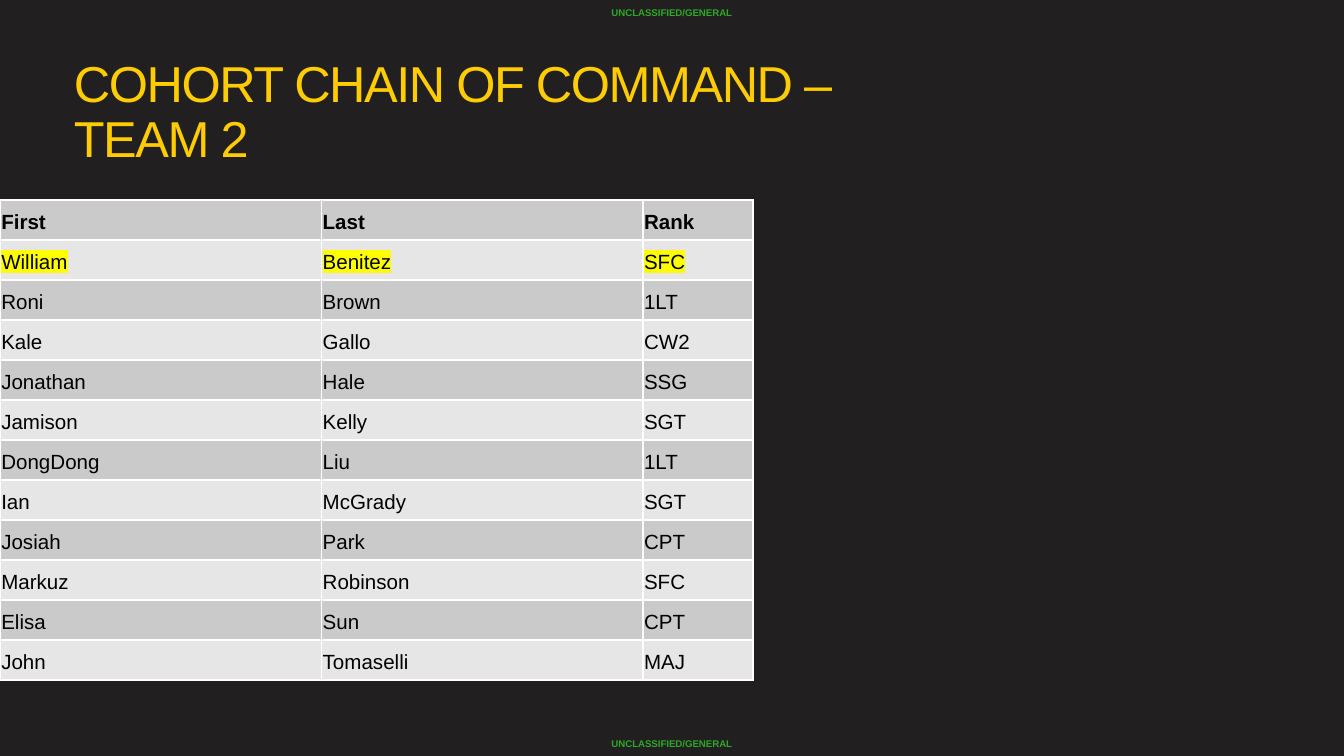
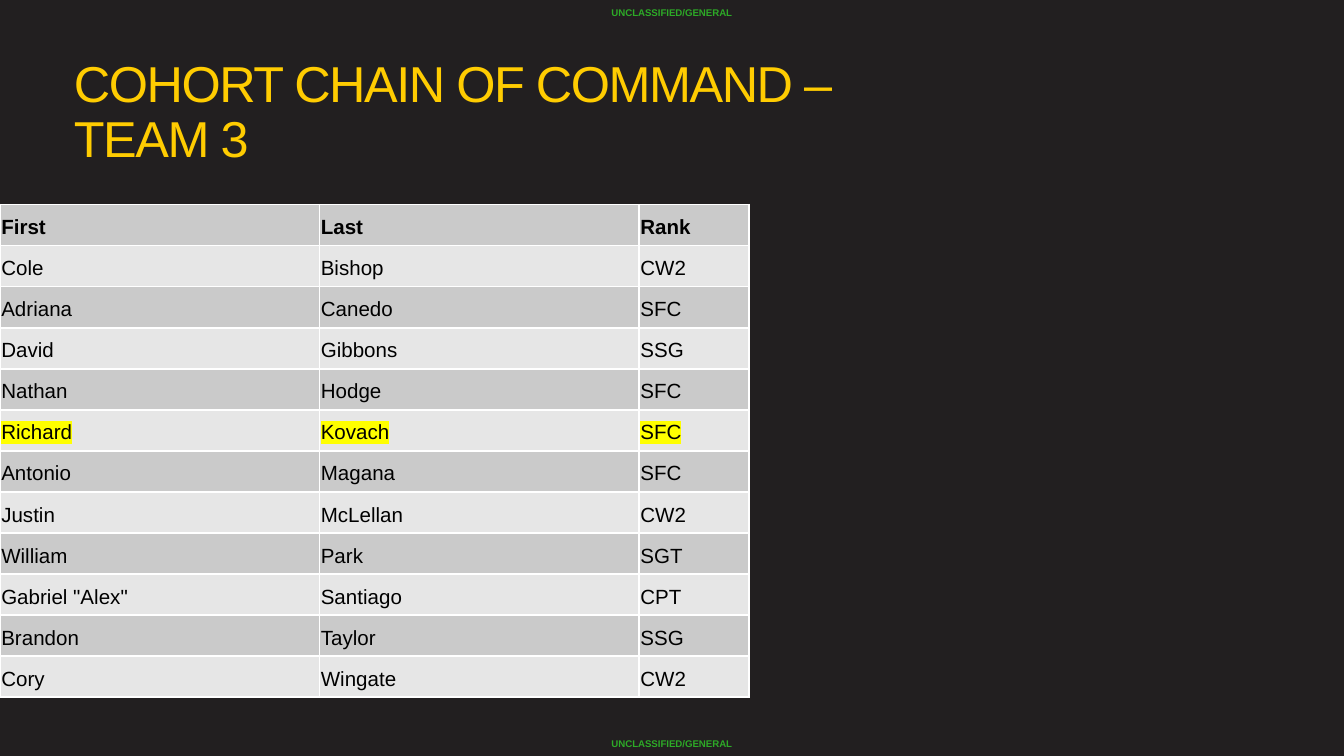
from lxml.etree import SubElement
from pptx import Presentation
from pptx.dml.color import RGBColor
from pptx.enum.text import MSO_ANCHOR as Anchor, MSO_AUTO_SIZE as AutoSize, PP_ALIGN as Align
from pptx.oxml.ns import qn
from pptx.util import Pt

# Shared style
FONT = "Arial"
BACKGROUND = RGBColor(0x22, 0x1F, 0x20)
GOLD = RGBColor(0xFF, 0xCC, 0x01)
GREEN = RGBColor(0x2D, 0xAA, 0x27)
BLACK = RGBColor(0, 0, 0)
WHITE = RGBColor(0xFF, 0xFF, 0xFF)
YELLOW = RGBColor(0xFF, 0xFF, 0)
BANDS = RGBColor(0xCA, 0xCA, 0xCA), RGBColor(0xE6, 0xE6, 0xE6)

MARKING = "UNCLASSIFIED/GENERAL"
HEADER = ("First", "Last", "Rank")
MARGINS = ("margin_left", "margin_top", "margin_right", "margin_bottom")

# Teams: table placement, leader's row, members
TEAMS = [
    dict(number=2, top=107.2, widths=(172.2, 172.2, 59.2), row_height=21.43, leader=1, members=[
        ("William", "Benitez", "SFC"),
        ("Roni", "Brown", "1LT"),
        ("Kale", "Gallo", "CW2"),
        ("Jonathan", "Hale", "SSG"),
        ("Jamison", "Kelly", "SGT"),
        ("DongDong", "Liu", "1LT"),
        ("Ian", "McGrady", "SGT"),
        ("Josiah", "Park", "CPT"),
        ("Markuz", "Robinson", "SFC"),
        ("Elisa", "Sun", "CPT"),
        ("John", "Tomaselli", "MAJ"),
    ]),
    dict(number=3, top=109.6, widths=(171.2, 171.2, 58.9), row_height=22, leader=5, members=[
        ("Cole", "Bishop", "CW2"),
        ("Adriana", "Canedo", "SFC"),
        ("David", "Gibbons", "SSG"),
        ("Nathan", "Hodge", "SFC"),
        ("Richard", "Kovach", "SFC"),
        ("Antonio", "Magana", "SFC"),
        ("Justin", "McLellan", "CW2"),
        ("William", "Park", "SGT"),
        ("Gabriel \"Alex\"", "Santiago", "CPT"),
        ("Brandon", "Taylor", "SSG"),
        ("Cory", "Wingate", "CW2"),
    ]),
]


def set_attrs(target, values):
    for name, value in values.items():
        setattr(target, name, value)


def add_color(parent, color):
    SubElement(parent, qn("a:srgbClr"), val=str(color))


class Deck:
    def __init__(self):
        self.prs = Presentation()
        set_attrs(self.prs, dict(slide_width=Pt(720), slide_height=Pt(405)))
        fill = self.prs.slide_master.background.fill
        fill.solid()
        fill.fore_color.rgb = BACKGROUND

    def new_slide(self):
        self.s = self.prs.slides.add_slide(self.prs.slide_layouts[5])
        self.marking(391.5, Anchor.BOTTOM, side_inset=0)
        self.marking(0, Anchor.TOP, side_inset=7.2)

    def add_text(self, p, text, size, color, bold=False):
        r = p.add_run()
        r.text = text
        set_attrs(r.font, dict(name=FONT, size=Pt(size), bold=bold))
        r.font.color.rgb = color
        return r

    def frame(self, tf, insets, anchor):
        set_attrs(tf, dict(word_wrap=True, auto_size=AutoSize.NONE, vertical_anchor=anchor))
        set_attrs(tf, dict(zip(MARGINS, map(Pt, insets))))

    def marking(self, top, anchor, side_inset):
        sp = self.s.shapes.add_textbox(Pt(82), Pt(top), Pt(556), Pt(13.5))
        tf = sp.text_frame
        self.frame(tf, (side_inset, 3.6, side_inset, 3.6), anchor)
        tf.auto_size = AutoSize.SHAPE_TO_FIT_TEXT
        p = tf.paragraphs[0]
        p.alignment = Align.CENTER
        self.add_text(p, MARKING, 5.2, GREEN, bold=True)

    def title(self, text):
        sp = self.s.shapes.title
        set_attrs(sp, dict(left=Pt(32.4), top=Pt(24.5), width=Pt(486), height=Pt(70.6)))
        self.frame(sp.text_frame, (7.2,) * 4, Anchor.TOP)
        p = sp.text_frame.paragraphs[0]
        set_attrs(p, dict(alignment=Align.LEFT, line_spacing=0.9))
        r = self.add_text(p, text, 27, GOLD)
        r._r.get_or_add_rPr().set("spc", "-80")

    def table(self, rows, top, widths, row_height, leader):
        table = self.s.shapes.add_table(len(rows), len(widths), 0, Pt(top),
                                        Pt(sum(widths)), Pt(row_height * len(rows))).table
        set_attrs(table, dict(first_row=False, horz_banding=False))
        for column, width in zip(table.columns, widths):
            column.width = Pt(width)
        for i, row in enumerate(rows):
            table.rows[i].height = Pt(row_height)
            for j, text in enumerate(row):
                self.cell(table.cell(i, j), text, BANDS[i % 2], i == 0, i == leader)

    def cell(self, cell, text, band, bold, highlighted):
        cell.fill.solid()
        cell.fill.fore_color.rgb = band
        cell.vertical_anchor = Anchor.BOTTOM
        set_attrs(cell, dict(zip(MARGINS, map(Pt, (0.7, 0.7, 0.7, 3.6)))))
        self.borders(cell)
        r = self.add_text(cell.text_frame.paragraphs[0], text, 11, BLACK, bold)
        if highlighted:
            rPr = r._r.get_or_add_rPr()
            highlight = SubElement(rPr, qn("a:highlight"))
            add_color(highlight, YELLOW)
            rPr.find(qn("a:solidFill")).addnext(highlight)

    def borders(self, cell):
        tcPr = cell._tc.get_or_add_tcPr()
        for i, side in enumerate("LRTB"):
            ln = SubElement(tcPr, qn("a:ln" + side), w=str(Pt(1)))
            add_color(SubElement(ln, qn("a:solidFill")), WHITE)
            tcPr.insert(i, ln)


def main():
    deck = Deck()
    for team in TEAMS:
        deck.new_slide()
        deck.title(f"COHORT CHAIN OF COMMAND – TEAM {team['number']}")
        deck.table([HEADER] + team["members"], team["top"], team["widths"],
                   team["row_height"], team["leader"])
    deck.prs.save("out.pptx")


if __name__ == "__main__":
    main()
